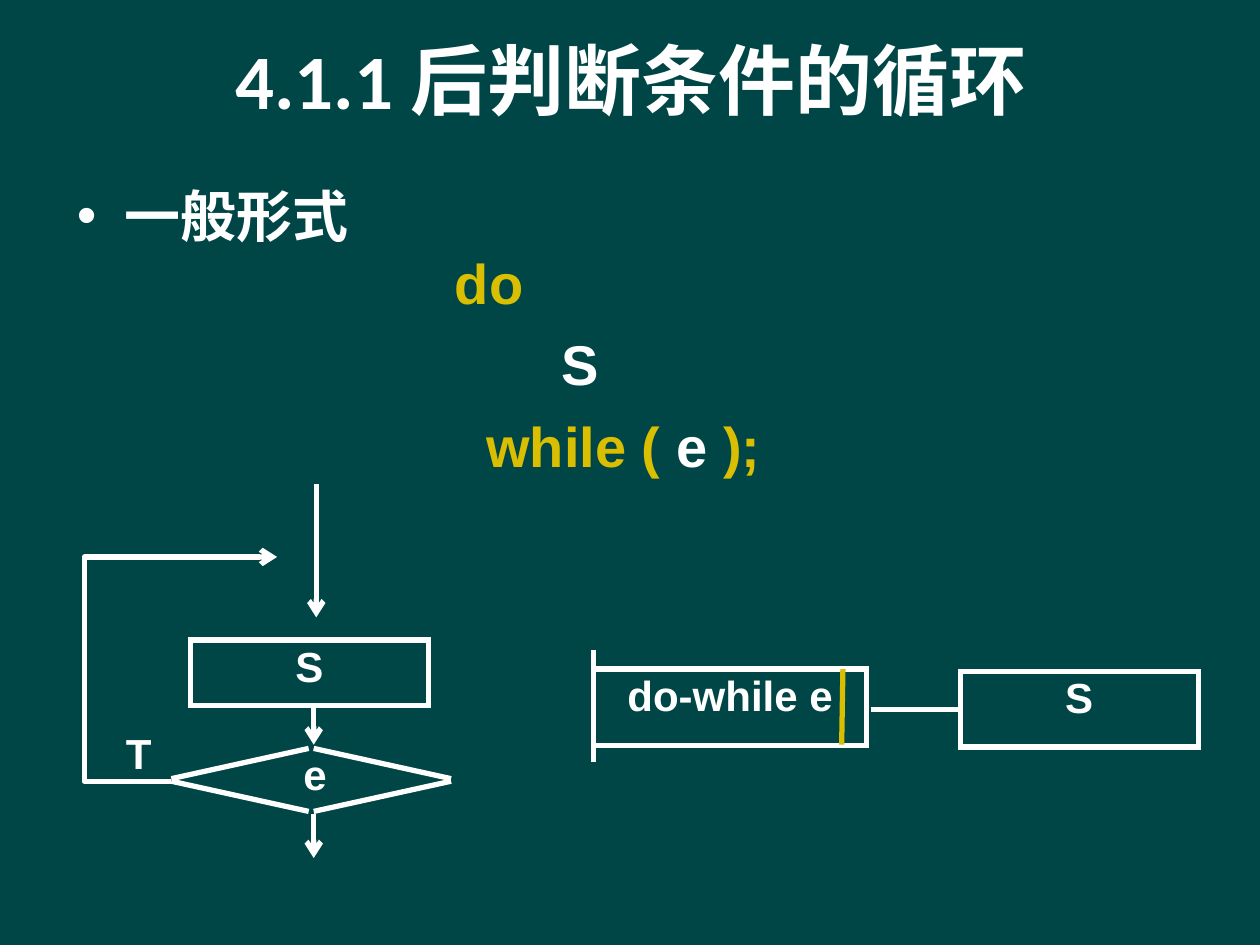
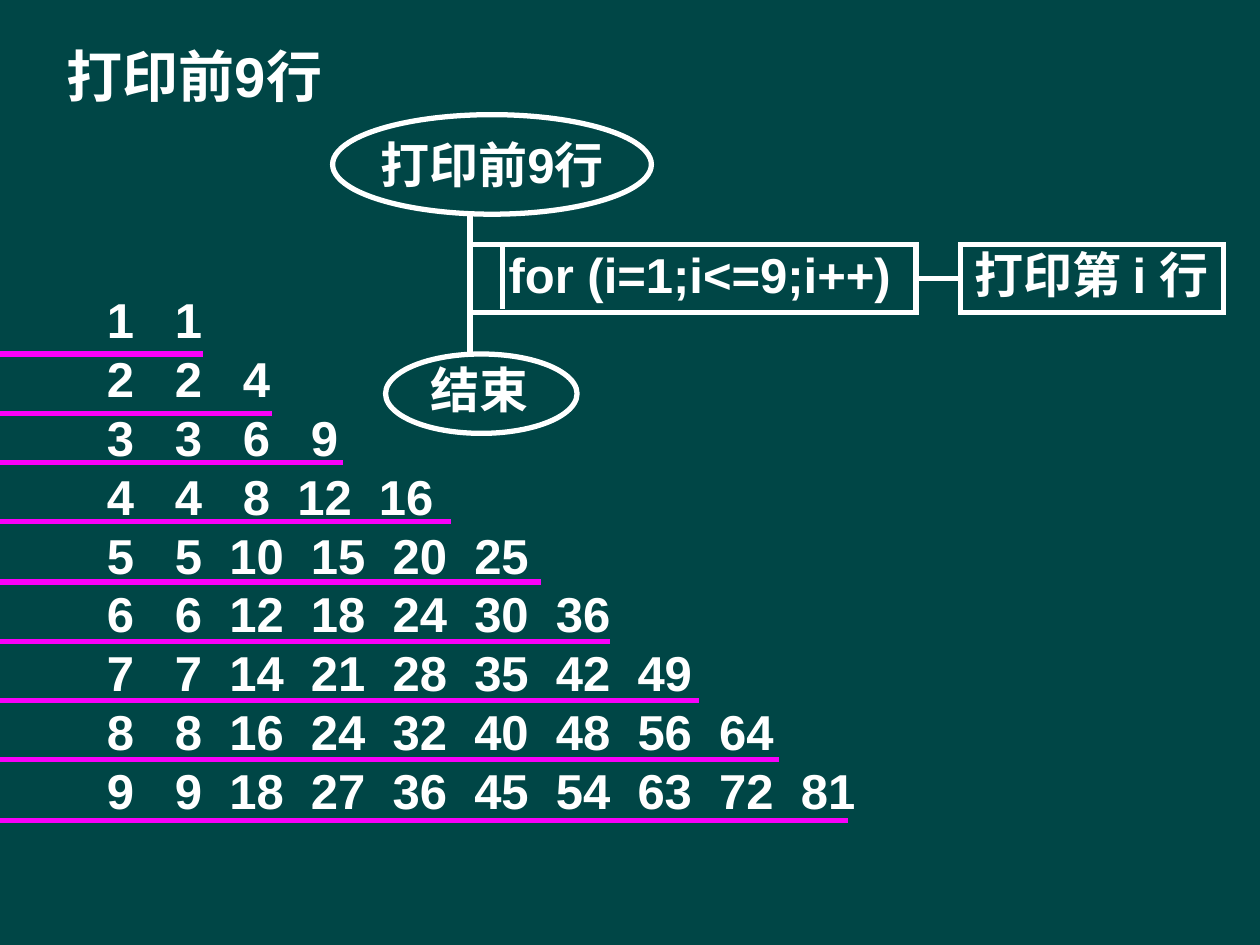
"""Builds two slides on the do-while loop and on printing a times table."""
from pptx import Presentation
from pptx import util as u
from pptx.dml.color import RGBColor
from pptx.enum import shapes, text
from pptx.oxml.ns import qn
from lxml import etree

HUES = {"back": "004646", "white": "FFFFFF", "gold": "D9BE02", "pink": "F900F9"}
RGB = {name: RGBColor.from_string(code) for name, code in HUES.items()}
KIND = shapes.MSO_SHAPE
ALIGN = text.PP_ALIGN
TOP, MID = text.MSO_ANCHOR.TOP, text.MSO_ANCHOR.MIDDLE


def write(shape, lines, size, align=ALIGN.CENTER, anchor=TOP, pad=(0, 0), face="Arial"):
    """Fill a shape with lines, each a list of (words, hue) runs."""
    frame = shape.text_frame
    form = {"word_wrap": True, "auto_size": text.MSO_AUTO_SIZE.NONE,
            "vertical_anchor": anchor,
            "margin_left": u.Inches(pad[0]), "margin_right": u.Inches(pad[0]),
            "margin_top": u.Inches(pad[1]), "margin_bottom": u.Inches(pad[1])}
    for key, value in form.items():
        setattr(frame, key, value)
    for n, runs in enumerate(lines):
        para = frame.paragraphs[0] if n == 0 else frame.add_paragraph()
        para.alignment = align
        para.space_before = u.Pt(0)
        for words, hue in runs:
            run = para.add_run()
            run.text = words
            font = {"size": u.Pt(size), "name": face, "bold": True}
            for key, value in font.items():
                setattr(run.font, key, value)
            run.font.color.rgb = RGB[hue]
    return frame.paragraphs


def draw(slide, x1, y1, x2, y2, hue="white", arrow=False):
    """Draw a straight line, with an arrowhead at its end if asked."""
    ends = [u.Inches(v) for v in (x1, y1, x2, y2)]
    line = slide.shapes.add_connector(shapes.MSO_CONNECTOR.STRAIGHT, *ends)
    line.line.color.rgb = RGB[hue]
    line.line.width = u.Pt(3)
    props = line._element.spPr
    if arrow:
        etree.SubElement(props.find(qn("a:ln")), qn("a:tailEnd"), type="arrow")
    etree.SubElement(props, qn("a:effectLst"))
    return line


deck = Presentation()
deck.slide_width, deck.slide_height = u.Inches(10), u.Inches(7.5)
ground = deck.slide_master.background.fill
ground.solid()
ground.fore_color.rgb = RGB["back"]
loop = deck.slides.add_slide(deck.slide_layouts[1])
grid = deck.slides.add_slide(deck.slide_layouts[5])

head, body = loop.shapes.title, loop.placeholders[1]
name = grid.shapes.title
places = [(head, 0.51, 0, 9, 1.25), (body, 0.51, 1.39, 9, 2.56), (name, 0.43, 0.28, 3.23, 0.64)]
for shape, *box in places:
    for key, value in zip(("left", "top", "width", "height"), box):
        setattr(shape, key, u.Inches(value))
write(head, [[("4.1.1 后判断条件的循环", "white")]], 44, anchor=MID, pad=(0.1, 0.05), face="Calibri")
write(name, [[("打印前9行", "white")]], 32, ALIGN.LEFT, pad=(0.1, 0.05))

code = [[("一般形式", "white")], [("do", "gold")], [("S", "white")],
        [("while (", "gold"), (" e ", "white"), (");", "gold")]]
paras = write(body, code, 32, ALIGN.LEFT, pad=(0.1, 0.05))
for n, (para, left, gap) in enumerate(zip(paras, (0.38, 3, 3.85, 3.25), (0, 0, 8, 8))):
    props = para._p.get_or_add_pPr()
    props.set("marL", str(u.Inches(left)))
    props.set("indent", str(u.Inches(0 if n else -0.38)))
    if n:
        etree.SubElement(props, qn("a:buNone"))
    para.space_before = u.Pt(gap)

boxes = [
    (loop, KIND.RECTANGLE, 1.51, 5.08, 1.89, 0.52, "S", 24),
    (loop, KIND.RECTANGLE, 4.71, 5.31, 2.17, 0.61, "do-while e", 24),
    (loop, KIND.RECTANGLE, 7.62, 5.33, 1.89, 0.6, "S", 24),
    (grid, KIND.OVAL, 2.64, 0.91, 2.53, 0.79, "", 28),
    (grid, KIND.OVAL, 3.06, 2.81, 1.52, 0.63, "", 28),
    (grid, KIND.RECTANGLE, 3.73, 1.94, 3.54, 0.54, " for (i=1;i<=9;i++)", 28),
    (grid, KIND.RECTANGLE, 7.62, 1.94, 2.09, 0.54, "打印第 i 行", 28),
]
made = []
for slide, kind, x, y, w, h, words, size in boxes:
    shape = slide.shapes.add_shape(kind, *[u.Inches(v) for v in (x, y, w, h)])
    shape.shadow.inherit = False
    shape.fill.background()
    shape.line.color.rgb = RGB["white"]
    shape.line.width = u.Pt(3)
    etree.SubElement(shape._element.spPr.find(qn("a:ln")), qn("a:miter"), lim="800000")
    if words:
        write(shape, [[(words, "white")]], size)
    made.append(shape)
step, count, row = made[2], made[5], made[6]

for side in (-1, 1):
    for rise in (-1, 1):
        draw(loop, 2.47 + side * 0.02, 6.19 + rise * 0.25, 2.47 + side * 1.11, 6.19 + rise * 0.01)
for x, y1, y2 in [(2.51, 3.84, 4.9), (2.49, 5.6, 5.91), (2.49, 6.46, 6.81)]:
    draw(loop, x, y1, x, y2, arrow=True)
labels = [
    (loop, "e", 2.19, 5.94, 0.62, 0.56, 24, ALIGN.CENTER),
    (loop, "T", 1, 5.77, 0.47, 0.49, 24, ALIGN.LEFT),
    (grid, "打印前9行", 2.89, 1.07, 2.03, 0.32, 28, ALIGN.CENTER),
    (grid, "结束", 3.19, 2.85, 1.23, 0.59, 28, ALIGN.CENTER),
]
for slide, words, x, y, w, h, size, align in labels:
    label = slide.shapes.add_textbox(*[u.Inches(v) for v in (x, y, w, h)])
    write(label, [[(words, "white")]], size, align)

pen = loop.shapes.build_freeform(u.Inches(1.36), u.Inches(6.2))
turns = [(0.67, 6.2), (0.67, 4.42), (2.2, 4.42)]
pen.add_line_segments([(u.Inches(x), u.Inches(y)) for x, y in turns], close=False)
back = pen.convert_to_shape()
back.shadow.inherit = False
back.fill.background()
back.line.color.rgb = RGB["white"]
back.line.width = u.Pt(3)
etree.SubElement(back._element.spPr.find(qn("a:ln")), qn("a:tailEnd"), type="arrow")

draw(loop, 4.71, 5.16, 4.71, 6.05)
draw(loop, 6.69, 5.31, 6.68, 5.91, "gold")
draw(loop, 6.91, 5.63, 7.62, 5.63).end_connect(step, 1)

draw(grid, 3.73, 1.7, 3.73, 2.81)
draw(grid, 3.99, 1.94, 3.99, 2.45)
link = draw(grid, 7.27, 2.21, 7.62, 2.21)
link.begin_connect(count, 3)
link.end_connect(row, 1)

rows = [[str(i)] + [str(i * j) for j in range(1, i + 1)] for i in range(1, 10)]
table = grid.shapes.add_textbox(*[u.Inches(v) for v in (0.75, 2.25, 6.93, 4.31)])
lines = [[("\t".join(cells), "white")] for cells in rows]
paras = write(table, lines, 28, ALIGN.LEFT, pad=(0.1, 0.05))
digit, space = 0.216, 0.108
for para, cells in zip(paras, rows):
    tabs = etree.SubElement(para._p.get_or_add_pPr(), qn("a:tabLst"))
    spot = 0
    for last, cell in zip(cells, cells[1:]):
        spot += len(last) * digit + (4 - len(cell)) * space
        etree.SubElement(tabs, qn("a:tab"), pos=str(u.Inches(spot)), algn="l")

rules = [(1.61, 2.81), (2.16, 3.28), (2.72, 3.67), (3.58, 4.14), (4.29, 4.62),
         (4.84, 5.09), (5.55, 5.56), (6.18, 6.03), (6.73, 6.51)]
for end, y in rules:
    draw(grid, 0, y, end, y, "pink")

deck.save("out.pptx")
